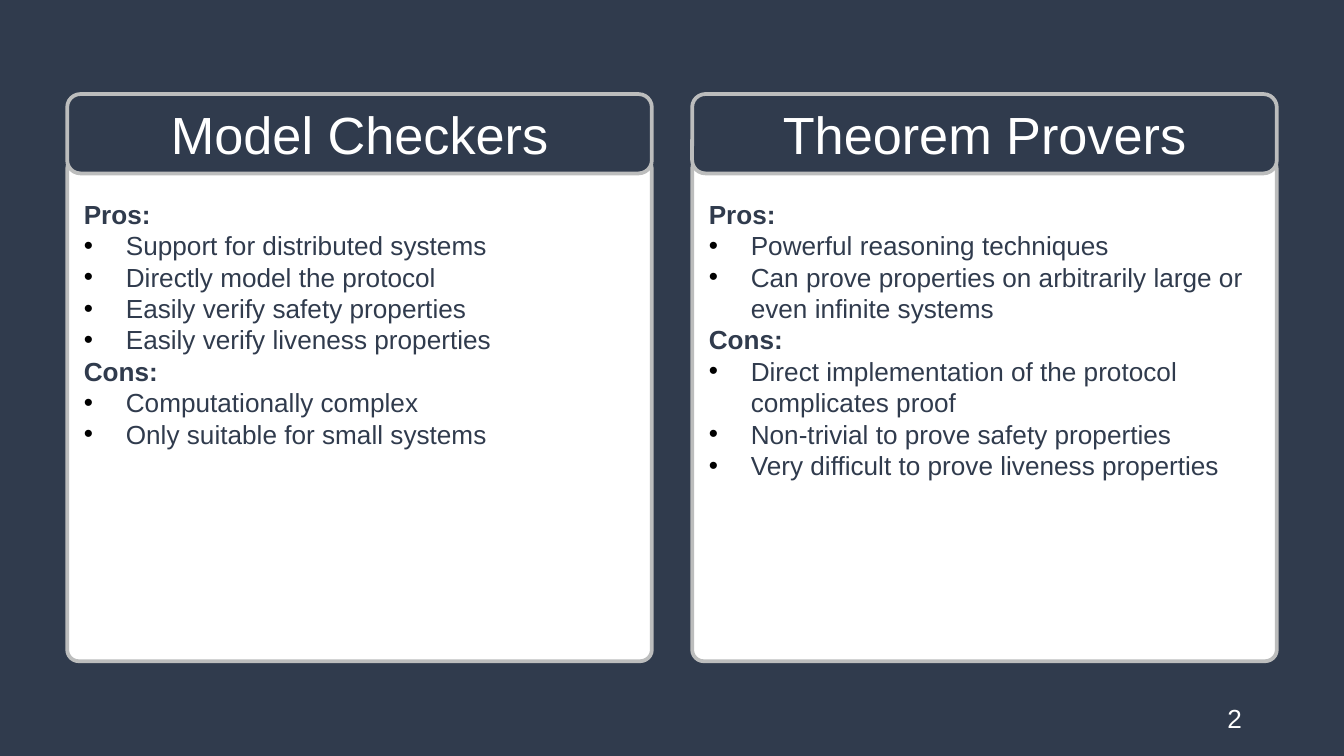
from lxml.etree import SubElement
from pptx import Presentation
from pptx.dml.color import RGBColor
from pptx.enum.shapes import MSO_SHAPE
from pptx.enum.text import MSO_ANCHOR, PP_ALIGN
from pptx.oxml.ns import qn
from pptx.util import Inches, Pt

NAVY = RGBColor(0x30, 0x3B, 0x4D)
WHITE = RGBColor(0xFF, 0xFF, 0xFF)
GRAY = RGBColor(0xBC, 0xBD, 0xBD)
FONT = "Arial"

# Content: one card per approach, each with its headed lists
CARDS = [
    ("Model Checkers", [
        ("Pros:", ["Support for distributed systems",
                   "Directly model the protocol",
                   "Easily verify safety properties",
                   "Easily verify liveness properties"]),
        ("Cons:", ["Computationally complex",
                   "Only suitable for small systems"]),
    ]),
    ("Theorem Provers", [
        ("Pros:", ["Powerful reasoning techniques",
                   "Can prove properties on arbitrarily large or even infinite systems"]),
        ("Cons:", ["Direct implementation of the protocol complicates proof",
                   "Non-trivial to prove safety properties",
                   "Very difficult to prove liveness properties"]),
    ]),
]
PAGE_NUMBER = "2"

# Layout in inches, on a 16:9 page
PAGE_WIDTH = 10
PAGE_HEIGHT = PAGE_WIDTH * 9 / 16
MARGIN, CARD_WIDTH, GAP = 0.5, 4.35, 0.3
HEADER_TOP, HEADER_HEIGHT = 0.7, 0.59
BODY_TOP, BODY_HEIGHT = 1.17, 3.75
BULLET_INDENT = Pt(22.5)


def add_panel(page, left, top, height, fill):
    panel = page.shapes.add_shape(MSO_SHAPE.ROUNDED_RECTANGLE, Inches(left),
                                  Inches(top), Inches(CARD_WIDTH), Inches(height))
    panel.shadow.inherit = False
    panel.fill.solid()
    panel.fill.fore_color.rgb = fill
    panel.line.color.rgb = GRAY
    panel.line.width = Pt(2)
    panel.text_frame.word_wrap = True
    return panel


def write(para, text, size, color, align=PP_ALIGN.LEFT, bold=False):
    para.text = text
    para.alignment = align
    para.font.name = FONT
    para.font.size = Pt(size)
    para.font.bold = bold
    para.font.color.rgb = color


def add_bullet(para):
    properties = para._p.get_or_add_pPr()
    properties.set("marL", str(int(BULLET_INDENT)))
    properties.set("indent", str(-int(BULLET_INDENT)))
    # Bullet marks come before the paragraph's default run properties
    color = properties.makeelement(qn("a:buClr"), {})
    SubElement(color, qn("a:srgbClr"), val="000000")
    marks = [color,
             properties.makeelement(qn("a:buFont"), {"typeface": FONT}),
             properties.makeelement(qn("a:buChar"), {"char": "•"})]
    for position, mark in enumerate(marks):
        properties.insert(position, mark)


def add_card(page, left, title, sections):
    # Body, with room at the top for the overlapping header
    body = add_panel(page, left, BODY_TOP, BODY_HEIGHT, WHITE)
    body.adjustments[0] = 0.023
    frame = body.text_frame
    frame.vertical_anchor = MSO_ANCHOR.TOP
    frame.margin_top = Inches(0.28)
    lines = [(text, text == heading)
             for heading, points in sections for text in [heading, *points]]
    for index, (text, is_heading) in enumerate(lines):
        para = frame.add_paragraph() if index else frame.paragraphs[0]
        write(para, text, 14, NAVY, bold=is_heading)
        if not is_heading:
            add_bullet(para)

    # Header
    header = add_panel(page, left, HEADER_TOP, HEADER_HEIGHT, NAVY)
    header.text_frame.vertical_anchor = MSO_ANCHOR.MIDDLE
    write(header.text_frame.paragraphs[0], title, 28, WHITE, PP_ALIGN.CENTER)


def add_page_number(page):
    box = page.shapes.add_textbox(Inches(7.06), Inches(5.21), Inches(2.25), Inches(0.3))
    frame = box.text_frame
    frame.word_wrap = True
    frame.vertical_anchor = MSO_ANCHOR.MIDDLE
    frame.margin_left = frame.margin_right = Inches(0.07)
    frame.margin_top = frame.margin_bottom = Inches(0.04)
    para = frame.paragraphs[0]
    write(para, PAGE_NUMBER, 14, WHITE, PP_ALIGN.RIGHT)
    para.line_spacing = 0.9


def main():
    deck = Presentation()
    deck.slide_width, deck.slide_height = Inches(PAGE_WIDTH), Inches(PAGE_HEIGHT)
    page = deck.slides.add_slide(deck.slide_layouts[6])
    page.background.fill.solid()
    page.background.fill.fore_color.rgb = NAVY

    for column, (title, sections) in enumerate(CARDS):
        add_card(page, MARGIN + column * (CARD_WIDTH + GAP), title, sections)
    add_page_number(page)
    deck.save("out.pptx")


if __name__ == "__main__":
    main()
